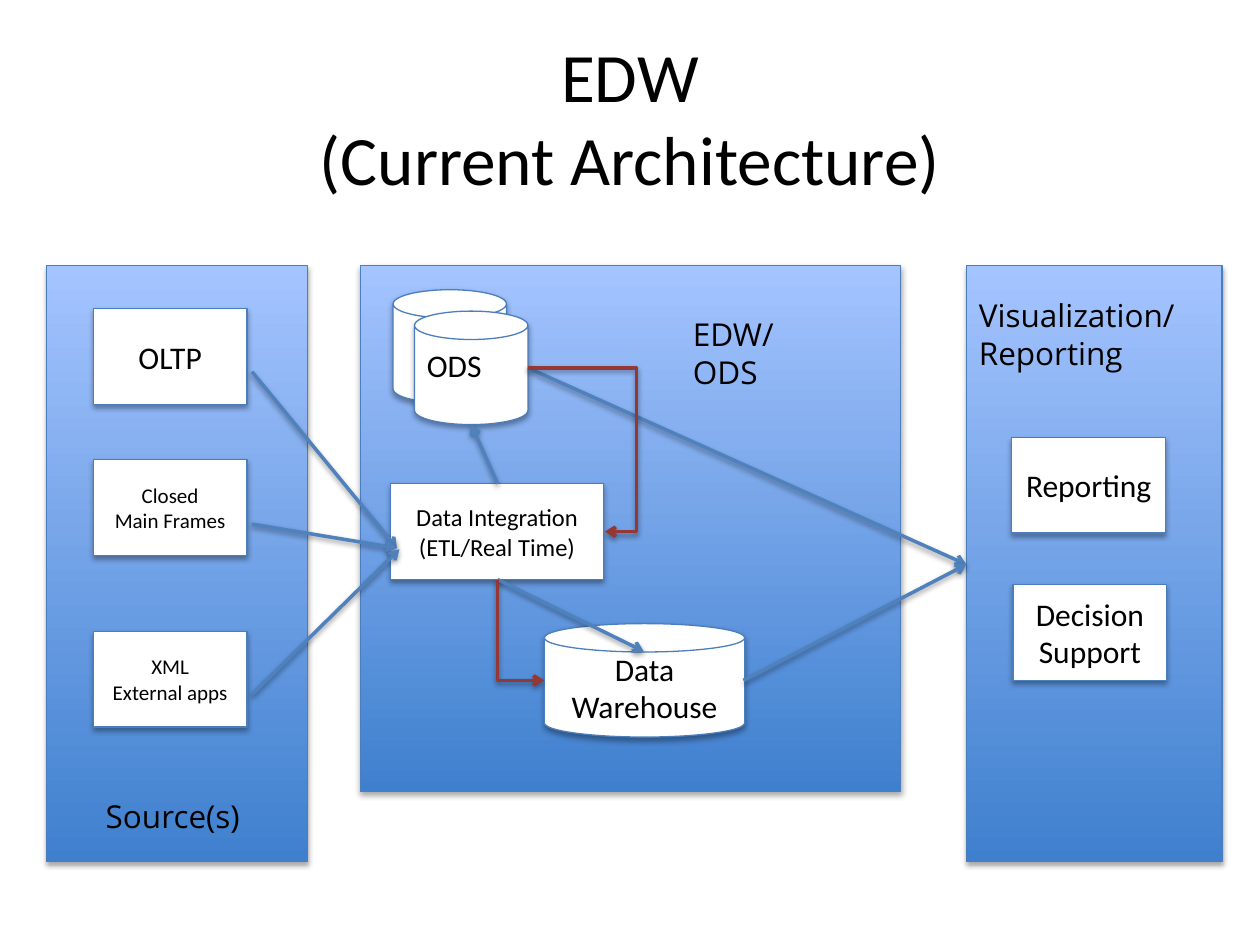
from lxml import etree
from pptx import Presentation
from pptx.dml.color import RGBColor
from pptx.enum import shapes, text
from pptx.oxml import ns
from pptx.util import Inches, Pt

BLACK, WHITE = RGBColor(0, 0, 0), RGBColor(255, 255, 255)
EDGE, BLUE = RGBColor(0x4B, 0x7E, 0xBC), RGBColor(0x4F, 0x81, 0xBD)
RED = RGBColor(0x95, 0x37, 0x35)
DEEP, PALE = RGBColor(0x3F, 0x80, 0xCE), RGBColor(0xA4, 0xC4, 0xFF)
RECT, CAN = shapes.MSO_SHAPE.RECTANGLE, shapes.MSO_SHAPE.CAN
MID, TOP = text.MSO_ANCHOR.MIDDLE, text.MSO_ANCHOR.TOP
LEFT, CENTER = text.PP_ALIGN.LEFT, text.PP_ALIGN.CENTER

# Content: panels, nodes, labels and flows, in inches
TITLE = "EDW\v(Current Architecture)"
PANELS = [(0.37, 2.11, 2.07, 4.73), (2.86, 2.11, 4.29, 4.17),
          (7.67, 2.11, 2.03, 4.73)]
BOX, DRUM = (1.22, 0.76), (0.9, 0.9)
NODES = [  # form, place, size, words, text format
    (RECT, (0.74, 2.45), BOX, "OLTP", {}),
    (RECT, (0.74, 3.65), BOX, "Closed\nMain Frames", {"size": 12}),
    (RECT, (0.74, 5.01), BOX, "XML\nExternal apps", {"size": 12}),
    (CAN, (4.32, 4.95), (1.59, 0.9), "Data Warehouse", {}),
    (RECT, (3.1, 3.84), (1.69, 0.76), "Data Integration\n(ETL/Real Time)",
     {"size": 14}),
    (CAN, (3.12, 2.3), DRUM, "", {}),
    (CAN, (3.29, 2.47), DRUM, "ODS", {"align": LEFT, "anchor": TOP}),
    (RECT, (8.03, 3.47), BOX, "Reporting", {}),
    (RECT, (8.04, 4.64), BOX, "Decision Support", {}),
]
LABELS = [("Source(s)", (0.74, 6.28, 1.39, 0.4)),
          ("EDW/ODS", (5.4, 2.45, 1.31, 0.4)),
          ("Visualization/\nReporting", (7.67, 2.3, 1.89, 0.71))]
FLOWS = [((2, 2.95), (3.15, 4.35)), ((2, 4.16), (3.15, 4.35)),
         ((2, 5.51), (3.17, 4.36)), ((3.95, 3.84), (3.74, 3.37)),
         ((3.95, 4.6), (5.11, 5.17)), ((4.19, 2.92), (7.67, 4.48)),
         ((5.9, 5.4), (7.67, 4.48))]

deck = Presentation()
deck.slide_width, deck.slide_height = Inches(10), Inches(7.5)
slide = deck.slides.add_slide(deck.slide_layouts[5])
parts = slide.shapes


def child(node, tag, **attrs):
    return etree.SubElement(node, ns.qn(tag), attrs)


def write(shape, words, size=18, font="Calibri", align=CENTER, anchor=MID):
    frame = shape.text_frame
    frame.word_wrap = True
    frame.vertical_anchor = anchor
    frame.text = words
    for para in frame.paragraphs:
        para.alignment = align
        for run in para.runs:
            run.font.size, run.font.name = Pt(size), font
            run.font.color.rgb = BLACK


def shade(props, dist, alpha):
    glow = child(child(props, "a:effectLst"), "a:outerShdw", blurRad="40000",
                 dist=str(dist), dir="5400000", rotWithShape="0")
    child(child(glow, "a:srgbClr", val="000000"), "a:alpha", val=str(alpha))


def block(form, place, size):
    shape = parts.add_shape(form, *map(Inches, place + size))
    shape.line.color.rgb, shape.line.width = EDGE, Pt(0.75)
    shape.fill.solid()
    shape.fill.fore_color.rgb = WHITE
    shade(shape._element.spPr, 23000, 35000)
    return shape


def arrow(start, end, color=BLUE, kind=shapes.MSO_CONNECTOR.STRAIGHT):
    link = parts.add_connector(kind, *map(Inches, start + end))
    link.line.color.rgb, link.line.width = color, Pt(2)
    child(link.line._get_or_add_ln(), "a:tailEnd", type="arrow")
    shade(link._element.spPr, 20000, 38000)
    return link


# Title
title = parts.title
title.left, title.top, title.width, title.height = map(
    Inches, (0.5, 0.3, 9, 1.25))
write(title, TITLE, size=39.6)

# Panels, dark at the foot
for place in PANELS:
    fill = block(RECT, place[:2], place[2:]).fill
    fill.gradient()
    fill.gradient_angle = 90
    for stop, color, pos in zip(fill.gradient_stops, (DEEP, PALE), (0, 1)):
        stop.color.rgb, stop.position = color, pos

# Nodes and labels
for form, place, size, words, style in NODES:
    node = block(form, place, size)
    if words:
        write(node, words, **style)
for words, place in LABELS:
    write(parts.add_textbox(*map(Inches, place)), words,
          font="Open Sans", align=LEFT, anchor=TOP)

# Straight flows
for start, end in FLOWS:
    arrow(start, end)

# Red loop from ODS back to integration
ELBOW = shapes.MSO_CONNECTOR.ELBOW
loop = arrow((4.19, 2.92), (4.8, 4.22), RED, ELBOW)
geom = loop._element.spPr.find(ns.qn("a:prstGeom"))
bends = geom.find(ns.qn("a:avLst"))
if bends is None:
    bends = child(geom, "a:avLst")
child(bends, "a:gd", name="adj1", fmla="val 141200")

# Red drop from integration to warehouse: one bend, turned a quarter
x, y, wide, tall = 3.95, 4.6, 0.37, 0.8
left, top = x + (wide - tall) / 2, y + (tall - wide) / 2
drop = arrow((left, top), (left + tall, top + wide), RED, ELBOW)
props = drop._element.spPr
props.find(ns.qn("a:prstGeom")).set("prst", "bentConnector2")
turn = props.find(ns.qn("a:xfrm"))
turn.set("rot", "16200000")
turn.set("flipH", "1")

deck.save("out.pptx")
